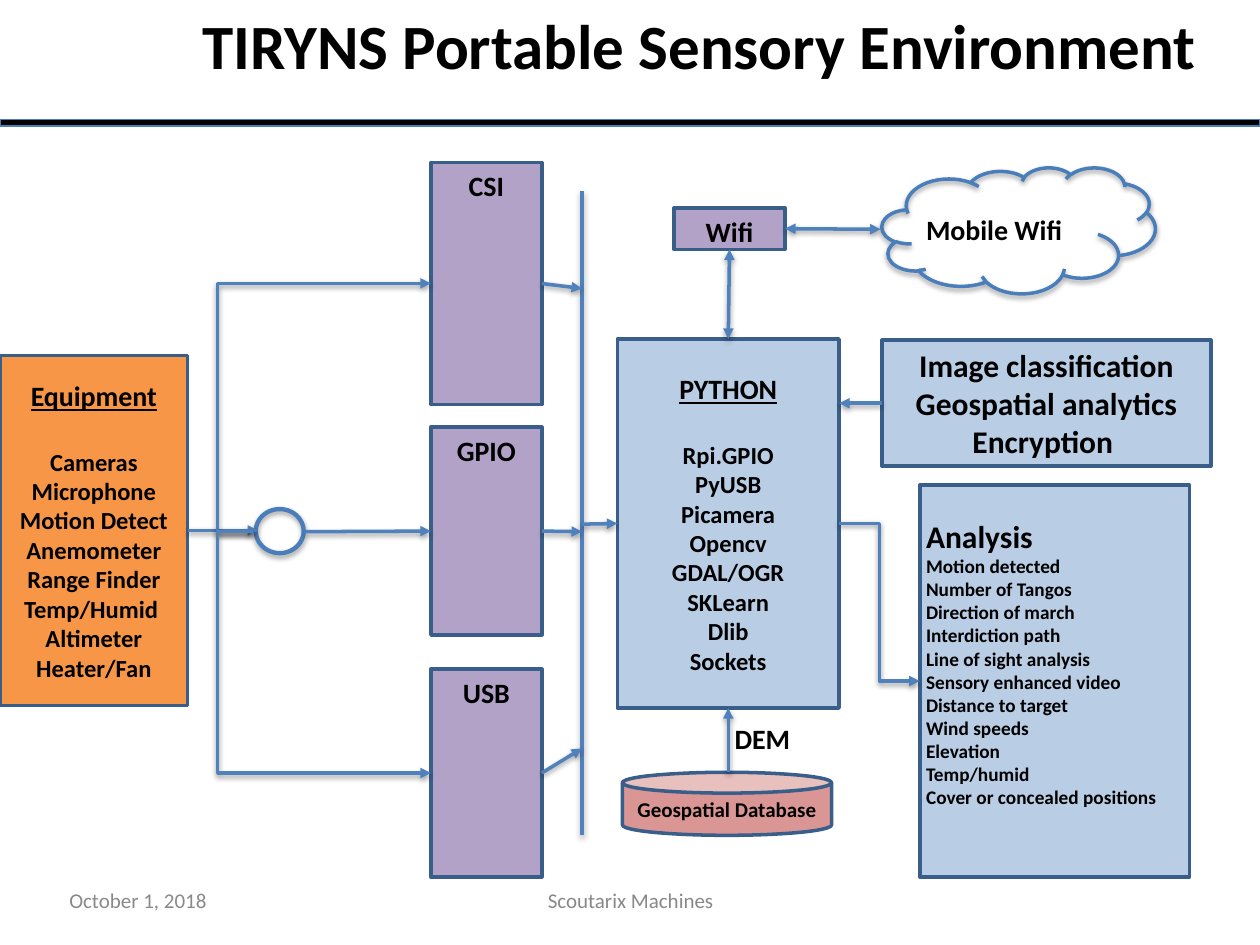
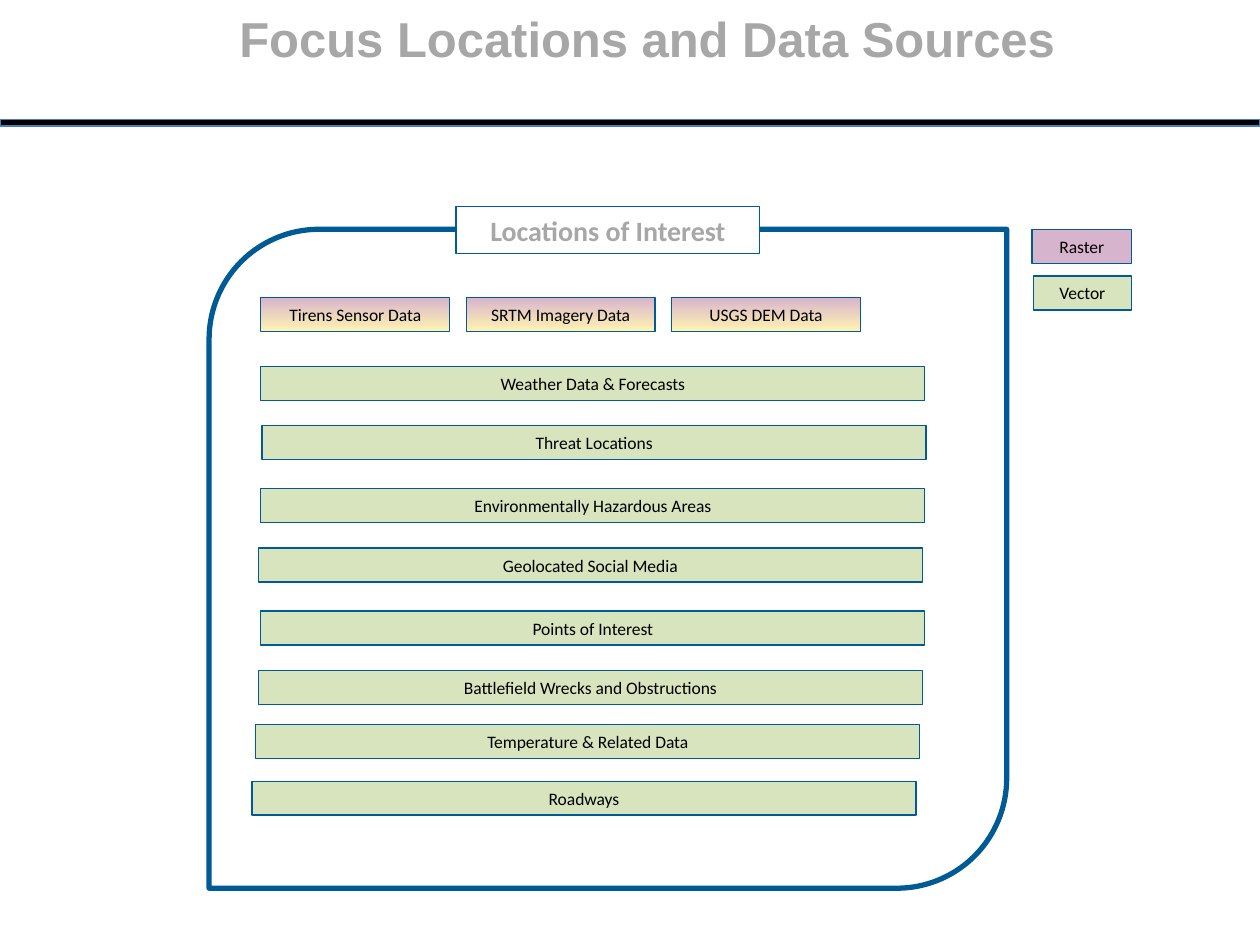
from lxml.etree import SubElement
from pptx import Presentation
from pptx.dml.color import RGBColor
from pptx.enum.shapes import MSO_CONNECTOR, MSO_SHAPE
from pptx.enum.text import MSO_ANCHOR, MSO_AUTO_SIZE, PP_ALIGN
from pptx.oxml.ns import qn
from pptx.util import Inches, Pt

BLACK, GREY, FOOTER_GREY = "000000", "A7A7A7", "888888"
EDGE, FLOW, OUTLINE, NAVY = "3A5E8A", "4F81BD", "4A7EBB", "005B94"
PURPLE, BLUE, ORANGE, ROSE = "B3A2C7", "B9CDE5", "F79646", "D99694"
PINK, GREEN, YELLOW = "D7B4CD", "D7E4BD", "FFF3B1"


def paint(shape, fill=None, line=EDGE, width=2.0, shadow=False):
    """Set fill (None, one hex colour, or a bottom-to-top pair), line and shadow."""
    if hasattr(shape, "fill"):
        shape.shadow.inherit = False
        effects = shape.element.spPr.find(qn("a:effectLst"))
        if fill is None:
            shape.fill.background()
        elif isinstance(fill, tuple):
            shape.fill.gradient()
            shape.fill.gradient_angle = 90
            for stop, colour in zip(shape.fill.gradient_stops, fill):
                stop.color.rgb = RGBColor.from_string(colour)
        else:
            shape.fill.solid()
            shape.fill.fore_color.rgb = RGBColor.from_string(fill)
    shape.line.color.rgb = RGBColor.from_string(line)
    shape.line.width = Pt(width)
    if not hasattr(shape, "fill"):
        effects = SubElement(shape.element.spPr, qn("a:effectLst"))
    if shadow:
        drop = SubElement(effects, qn("a:outerShdw"), blurRad="40000",
                          dist="20000", dir="5400000", rotWithShape="0")
        black = SubElement(drop, qn("a:srgbClr"), val=BLACK)
        SubElement(black, qn("a:alpha"), val="38000")


def write(shape, text, size=16, colour=BLACK, bold=True, font="Calibri",
          align=PP_ALIGN.CENTER, anchor=MSO_ANCHOR.MIDDLE, inset=0.05, wrap=True,
          head_size=None, underline_head=False, gap=0, spacing=None):
    """Write one paragraph per line; the first may be a larger heading."""
    frame = shape.text_frame
    frame.word_wrap = wrap
    frame.auto_size = MSO_AUTO_SIZE.NONE
    frame.vertical_anchor = anchor
    frame.margin_left = frame.margin_right = Inches(inset)
    frame.margin_top = frame.margin_bottom = Inches(0.05)
    for i, words in enumerate(text.split("\n")):
        paragraph = frame.paragraphs[0] if i == 0 else frame.add_paragraph()
        paragraph.alignment = align
        if spacing:
            paragraph.line_spacing = Pt(spacing)
        if i == 1 and gap:
            paragraph.space_before = Pt(gap)
        run = paragraph.add_run()
        run.text = words
        run.font.name = font
        run.font.size = Pt(head_size if i == 0 and head_size else size)
        run.font.bold = bold
        run.font.color.rgb = RGBColor.from_string(colour)
        if i == 0 and underline_head:
            run.font.underline = True


deck = Presentation()
deck.slide_width, deck.slide_height = Inches(10), Inches(7.5)
title_only = deck.slide_layouts[5]
sensors = deck.slides.add_slide(title_only)
sources = deck.slides.add_slide(title_only)

# Band under the title, shared through the layout
band = sensors.shapes.add_shape(MSO_SHAPE.RECTANGLE, 0, Inches(0.95), Inches(10), Inches(0.05))
paint(band, BLACK, OUTLINE, 0.75)
title_only.shapes.element.append(band.element)

# Titles
for slide, place, words, style in [
    (sensors, (1.1, 0, 8.9, 0.71), "TIRYNS Portable Sensory Environment", dict(size=36)),
    (sources, (1.8, 0.04, 9, 0.95), "Focus Locations and Data Sources",
     dict(size=28, colour=GREY, font="Arial", align=PP_ALIGN.LEFT, inset=0.1, spacing=32)),
]:
    title = slide.shapes.title
    title.left, title.top, title.width, title.height = map(Inches, place)
    write(title, words, anchor=MSO_ANCHOR.TOP, **style)

# Slide 1: boxes of the sensor system
top_label = dict(anchor=MSO_ANCHOR.TOP)
package_list = dict(size=14, head_size=16, underline_head=True, gap=19.5)
boxes = {}
for key, place, fill, words, style in [
    ("python", (4.9, 2.69, 1.76, 2.93), BLUE,
     "PYTHON\nRpi.GPIO\nPyUSB\nPicamera\nOpencv\nGDAL/OGR\nSKLearn\nDlib\nSockets",
     package_list),
    ("csi", (3.42, 1.29, 0.88, 1.92), PURPLE, "CSI", top_label),
    ("gpio", (3.42, 3.39, 0.88, 1.65), PURPLE, "GPIO", top_label),
    ("usb", (3.42, 5.31, 0.88, 1.65), PURPLE, "USB", top_label),
    ("methods", (7, 2.7, 2.61, 1), BLUE,
     "Image classification\nGeospatial analytics\nEncryption ", dict(size=18)),
    ("equipment", (0, 2.82, 1.49, 2.78), ORANGE,
     "Equipment\nCameras\nMicrophone\nMotion Detect\nAnemometer\nRange Finder\n"
     "Temp/Humid \nAltimeter\nHeater/Fan", package_list),
    ("wifi", (5.35, 1.65, 0.88, 0.33), PURPLE, "Wifi", top_label),
]:
    boxes[key] = sensors.shapes.add_shape(MSO_SHAPE.RECTANGLE, *map(Inches, place))
    paint(boxes[key], fill)
    write(boxes[key], words, **style)

analysis = sensors.shapes.add_shape(
    MSO_SHAPE.RECTANGLE, Inches(7.3), Inches(3.85), Inches(2.14), Inches(3.11))
paint(analysis, BLUE)
write(analysis,
      "Analysis\nMotion detected\nNumber of Tangos\nDirection of march\n"
      "Interdiction path\nLine of sight analysis\nSensory enhanced video\n"
      "Distance to target\nWind speeds\nElevation\nTemp/humid\n"
      "Cover or concealed positions",
      size=11, head_size=18, align=PP_ALIGN.LEFT, anchor=MSO_ANCHOR.TOP)
analysis.text_frame.margin_top = Inches(0.25)

database = sensors.shapes.add_shape(
    MSO_SHAPE.CAN, Inches(4.94), Inches(6.13), Inches(1.66), Inches(0.5))
database.adjustments[0] = 0.33
paint(database, ROSE)
write(database, "Geospatial Database", size=12)
database.text_frame.margin_top = database.text_frame.margin_bottom = 0

# Cloud and splitter ring
for preset, place, width in [
    (MSO_SHAPE.CLOUD, (7, 1.33, 2.17, 1), 2),
    (MSO_SHAPE.OVAL, (2.03, 4.04, 0.38, 0.35), 2.5),
]:
    paint(sensors.shapes.add_shape(preset, *map(Inches, place)),
          None, OUTLINE, width, shadow=True)

# Connectors: kind, start, finish, arrowheads, joined start, joined finish
TOP, LEFT, BOTTOM, RIGHT = range(4)
straight, elbow = MSO_CONNECTOR.STRAIGHT, MSO_CONNECTOR.ELBOW
tail, both = ["tailEnd"], ["headEnd", "tailEnd"]
python, csi, gpio, usb = (boxes[key] for key in ("python", "csi", "gpio", "usb"))
wifi, methods, equipment = (boxes[key] for key in ("wifi", "methods", "equipment"))
for kind, start, finish, heads, origin, target in [
    (straight, (4.62, 1.52), (4.62, 6.63), [], None, None),
    (straight, (4.3, 2.25), (4.62, 2.29), tail, (csi, RIGHT), None),
    (straight, (4.3, 4.22), (4.62, 4.22), tail, (gpio, RIGHT), None),
    (straight, (4.3, 6.14), (4.62, 5.94), tail, (usb, RIGHT), None),
    (straight, (4.62, 4.16), (4.9, 4.16), tail, None, (python, LEFT)),
    (straight, (5.78, 6.13), (5.78, 5.62), tail, None, (python, BOTTOM)),
    (straight, (1.49, 4.21), (2.05, 4.21), tail, (equipment, RIGHT), None),
    (straight, (2.43, 4.22), (3.42, 4.22), tail, None, (gpio, LEFT)),
    (straight, (5.78, 2.69), (5.79, 1.98), both, (python, TOP), (wifi, BOTTOM)),
    (straight, (7, 3.2), (6.66, 3.2), tail, (methods, LEFT), None),
    (straight, (6.23, 1.82), (6.99, 1.82), both, (wifi, RIGHT), None),
    (elbow, (6.66, 4.16), (7.3, 5.41), tail, (python, RIGHT), (analysis, LEFT)),
    (elbow, (2.01, 4.22), (3.42, 2.25), tail, None, (csi, LEFT)),
    (elbow, (2.01, 4.22), (3.42, 6.14), tail, None, (usb, LEFT)),
]:
    flow = sensors.shapes.add_connector(kind, *map(Inches, start + finish))
    if origin:
        flow.begin_connect(*origin)
    if target:
        flow.end_connect(*target)
    paint(flow, line=FLOW, shadow=True)
    for head in heads:
        SubElement(flow.line._get_or_add_ln(), qn(f"a:{head}"), type="triangle")
    if kind == elbow and origin is None:  # bend back to the left of the ring
        guides = flow.element.spPr.find(qn("a:prstGeom")).find(qn("a:avLst"))
        SubElement(guides, qn("a:gd"), name="adj1", fmla="val -20000")

# Free labels and footer
free_label = dict(align=PP_ALIGN.LEFT, anchor=MSO_ANCHOR.TOP, wrap=False)
for place, words, style in [
    ((7.3, 1.64, 1.27, 0.36), "Mobile Wifi", free_label),
    ((5.78, 5.68, 0.55, 0.36), "DEM", free_label),
    ((3.42, 7, 3.17, 0.29), "Scoutarix Machines",
     dict(size=12, colour=FOOTER_GREY, bold=False)),
    ((0.5, 7, 2.33, 0.29), "October 1, 2018",
     dict(size=12, colour="898989", bold=False, align=PP_ALIGN.LEFT)),
]:
    write(sensors.shapes.add_textbox(*map(Inches, place)), words, **style)

# Slide 2: frame around the data sources
frame = sources.shapes.add_shape(
    MSO_SHAPE.ROUND_2_DIAG_RECTANGLE, Inches(1.66), Inches(1.82), Inches(6.33), Inches(5.23))
paint(frame, None, NAVY, 3)

heading = sources.shapes.add_shape(
    MSO_SHAPE.RECTANGLE, Inches(3.62), Inches(1.64), Inches(2.41), Inches(0.37))
paint(heading, "FFFFFF", NAVY, 0.75)
write(heading, "Locations of Interest", colour=GREY, wrap=False)

# Mixed sources, vector layers and key: left, top, width, fill, label
mixed = [(2.07 + 1.63 * i, 2.36, 1.5, (YELLOW, PINK), name) for i, name in enumerate(
    ["Tirens Sensor Data", "SRTM Imagery Data", "USGS DEM Data"])]
layers = [(left, top, 5.27, GREEN, name) for left, top, name in [
    (2.07, 2.91, "Weather Data & Forecasts"),
    (2.08, 3.38, "Threat Locations"),
    (2.07, 3.88, "Environmentally Hazardous Areas"),
    (2.05, 4.35, "Geolocated Social Media"),
    (2.07, 4.85, "Points of Interest"),
    (2.05, 5.32, "Battlefield Wrecks and Obstructions"),
    (2.03, 5.75, "Temperature & Related Data"),
    (2, 6.2, "Roadways"),
]]
key = [(8.19, 1.82, 0.79, PINK, "Raster"), (8.2, 2.19, 0.78, GREEN, "Vector")]
for left, top, width, fill, name in mixed + layers + key:
    bar = sources.shapes.add_shape(
        MSO_SHAPE.RECTANGLE, Inches(left), Inches(top), Inches(width), Inches(0.27))
    paint(bar, fill, NAVY, 0.75)
    write(bar, name, size=10, bold=False, inset=0.1)

deck.save("out.pptx")
